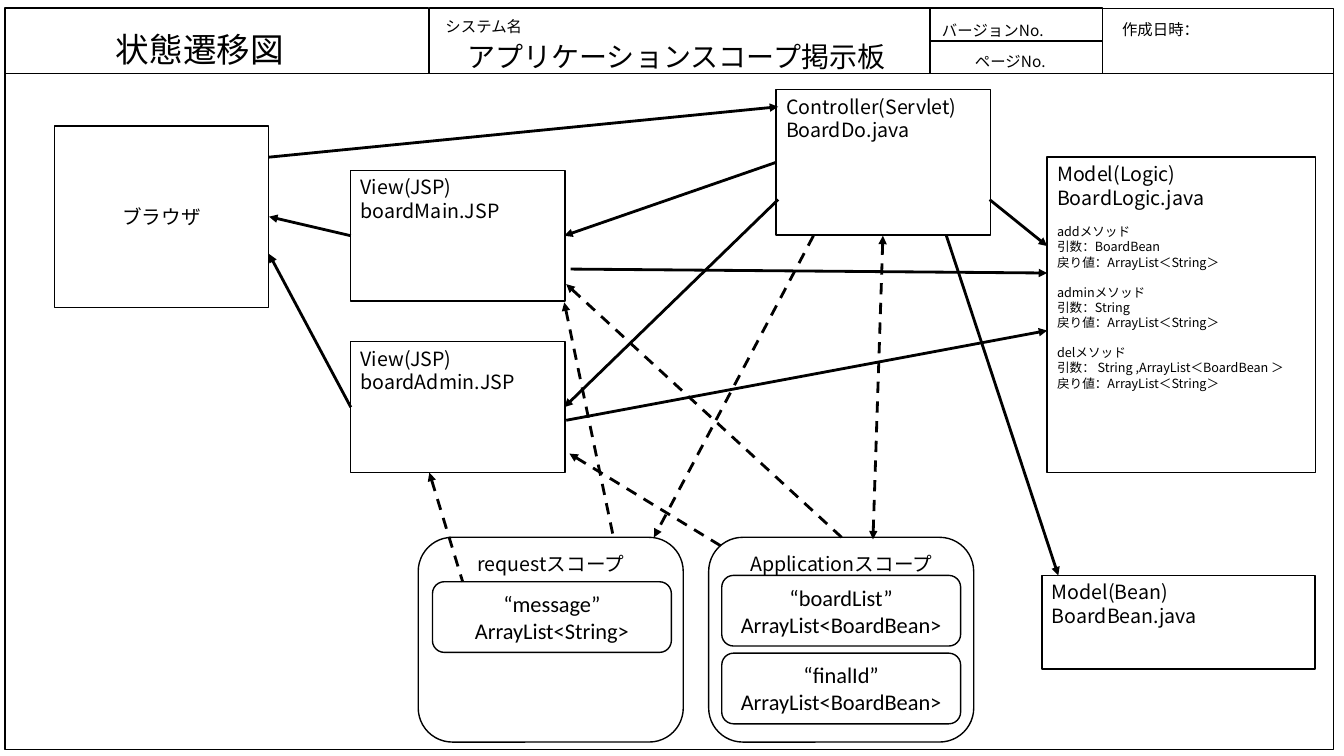
import pptx
import pptx.util
import pptx.dml.color
import pptx.enum.dml
import pptx.enum.shapes
import pptx.enum.text
from lxml import etree

BLACK = pptx.dml.color.RGBColor(0, 0, 0)
WHITE = pptx.dml.color.RGBColor(255, 255, 255)
JAPANESE = "Noto Sans CJK JP"
LATIN = "Calibri"
PRESET = pptx.enum.shapes.MSO_SHAPE
ALIGN = pptx.enum.text.PP_ALIGN
ANCHOR = pptx.enum.text.MSO_ANCHOR
DASH = pptx.enum.dml.MSO_LINE.DASH
DRAWING = "http://schemas.openxmlformats.org/drawingml/2006/main"
LINE_HEIGHT = 1.2


def add_element(parent, tag, **attributes):
    return etree.SubElement(parent, f"{{{DRAWING}}}{tag}", attributes)


def set_format(target, values):
    for name, value in values.items():
        setattr(target, name, value)


class Diagram:
    def __init__(self, slide):
        self.slide = slide
        self.outline = pptx.util.Pt(1)
        self.arrow_width = pptx.util.Pt(2)

    def add_text(self, frame, text, size=14, align=ALIGN.LEFT, anchor=ANCHOR.TOP,
                 font=JAPANESE, append=False, gap=0):
        set_format(frame, {"word_wrap": True, "vertical_anchor": anchor})
        for index, line in enumerate(text.split("\n")):
            starts_box = index == 0 and not append
            paragraph = frame.paragraphs[0] if starts_box else frame.add_paragraph()
            set_format(paragraph, {"alignment": align,
                                   "line_spacing": pptx.util.Pt(size * LINE_HEIGHT)})
            if gap and index == 0:
                paragraph.space_before = pptx.util.Pt(gap)
            run = paragraph.add_run()
            run.text = line
            set_format(run.font, {"name": font, "size": pptx.util.Pt(size)})
            run.font.color.rgb = BLACK
            run.font._element.find(f"{{{DRAWING}}}latin").addnext(
                etree.Element(f"{{{DRAWING}}}ea", typeface=font))

    def box(self, left, top, width, height, text="", preset=PRESET.RECTANGLE,
            fill=None, **style):
        shape = self.slide.shapes.add_shape(
            preset, *map(pptx.util.Cm, (left, top, width, height)))
        shape.shadow.inherit = False
        if fill is None:
            shape.fill.background()
        else:
            shape.fill.solid()
            shape.fill.fore_color.rgb = fill
        shape.line.color.rgb = BLACK
        shape.line.width = self.outline
        if text:
            self.add_text(shape.text_frame, text, **style)
        return shape

    def scope(self, left, top, width, height, text, **style):
        self.box(left, top, width, height, text, PRESET.ROUNDED_RECTANGLE,
                 align=ALIGN.CENTER, **style)

    def label(self, left, top, width, height, text, **style):
        shape = self.slide.shapes.add_textbox(
            *map(pptx.util.Cm, (left, top, width, height)))
        self.add_text(shape.text_frame, text, **style)

    def arrow(self, start, end, ends=("tailEnd",), dashed=False):
        connector = self.slide.shapes.add_connector(
            pptx.enum.shapes.MSO_CONNECTOR.STRAIGHT, *map(pptx.util.Cm, start + end))
        connector.line.color.rgb = BLACK
        connector.line.width = self.arrow_width
        if dashed:
            connector.line.dash_style = DASH
        line = connector.line._get_or_add_ln()
        for name in ends:
            add_element(line, name, type="triangle")
        add_element(connector._element.spPr, "effectLst")


def draw_components(diagram):
    diagram.box(1.37, 3.18, 5.4, 4.57, "ブラウザ", fill=WHITE,
                align=ALIGN.CENTER, anchor=ANCHOR.MIDDLE)
    for top, page in ((4.29, "boardMain.JSP"), (8.61, "boardAdmin.JSP")):
        diagram.box(8.84, top, 5.4, 3.3, f"View(JSP)\n{page}", fill=WHITE)
    diagram.box(19.56, 2.26, 5.4, 3.66, "Controller(Servlet)\nBoardDo.java", fill=WHITE)
    logic = diagram.box(26.39, 3.96, 6.76, 7.95, "Model(Logic)\nBoardLogic.java", fill=WHITE)
    methods = (
        "addメソッド\n引数：BoardBean",
        "adminメソッド\n引数：String",
        "delメソッド\n引数： String ,ArrayList＜BoardBean ＞",
    )
    for method in methods:
        diagram.add_text(logic.text_frame, f"{method}\n戻り値：ArrayList＜String＞",
                         size=9, append=True, gap=10.8)
    diagram.box(26.26, 14.5, 6.88, 2.36, "Model(Bean)\nBoardBean.java", fill=WHITE)


def draw_scopes(diagram):
    for left, name in ((17.86, "Application"), (10.54, "request")):
        diagram.scope(left, 13.54, 6.68, 5.16, f"{name}スコープ")
    attributes = (
        (18.19, 14.5, "“boardList”\nArrayList<BoardBean>"),
        (18.19, 16.46, "“finalId”\nArrayList<BoardBean>"),
        (10.9, 14.66, "“message”\nArrayList<String>"),
    )
    for left, top, text in attributes:
        diagram.scope(left, top, 6.02, 1.78, text, size=16, font=LATIN)


def draw_arrows(diagram):
    calls = (
        ((6.78, 3.96), (19.61, 2.69)),
        ((19.56, 4.09), (14.22, 5.94)),
        ((19.61, 5.03), (14.22, 10.26)),
        ((8.84, 10.26), (6.78, 6.4)),
        ((8.84, 5.94), (6.78, 5.46)),
        ((24.94, 5.03), (26.39, 6.2)),
        ((23.85, 5.94), (26.67, 14.5)),
        ((14.27, 10.59), (26.39, 8.33)),
        ((14.38, 6.78), (26.39, 6.88)),
    )
    for start, end in calls:
        diagram.arrow(start, end)
    diagram.arrow((22.25, 5.94), (22, 13.59), ("headEnd", "tailEnd"), dashed=True)
    diagram.arrow((20.5, 5.94), (16.48, 13.54), dashed=True)
    scope_reads = (
        ((10.82, 11.91), (11.66, 14.66)),
        ((14.22, 7.62), (15.47, 13.59)),
        ((14.27, 7.16), (21.21, 13.54)),
        ((14.35, 11.43), (18.19, 13.77)),
    )
    for view, scope in scope_reads:
        diagram.arrow(view, scope, ("headEnd",), dashed=True)


def draw_header(diagram):
    frames = (
        (0.13, 1.85, 33.48, 17.04),
        (0.13, 0.2, 10.67, 1.65),
        (10.82, 0.2, 12.62, 1.65),
        (23.42, 0.2, 4.37, 0.82),
        (23.42, 1.03, 4.37, 0.82),
        (27.79, 0.22, 5.82, 1.63),
    )
    for frame in frames:
        diagram.box(*frame)
    diagram.label(10.21, 0.91, 13.67, 1.04, "アプリケーションスコープ掲示板",
                  size=20, align=ALIGN.CENTER, anchor=ANCHOR.MIDDLE)
    diagram.label(1.37, 0.61, 7.34, 1.24, "状態遷移図", size=24, align=ALIGN.CENTER)
    captions = (
        (10.62, 0.3, 3.15, 1.24, "システム名", ALIGN.CENTER),
        (22.71, 0.41, 3.84, 0.74, "バージョンNo.", ALIGN.RIGHT),
        (23.42, 1.19, 3.18, 0.69, "ページNo.", ALIGN.RIGHT),
        (27.56, 0.38, 3.38, 0.61, "作成日時：", ALIGN.CENTER),
    )
    for *place, text, align in captions:
        diagram.label(*place, text, size=11, align=align)


def main():
    presentation = pptx.Presentation()
    set_format(presentation, {"slide_width": pptx.util.Cm(33.87),
                              "slide_height": pptx.util.Cm(19.05)})
    diagram = Diagram(presentation.slides.add_slide(presentation.slide_layouts[6]))
    draw_components(diagram)
    draw_scopes(diagram)
    draw_arrows(diagram)
    draw_header(diagram)
    presentation.save("out.pptx")


if __name__ == "__main__":
    main()
